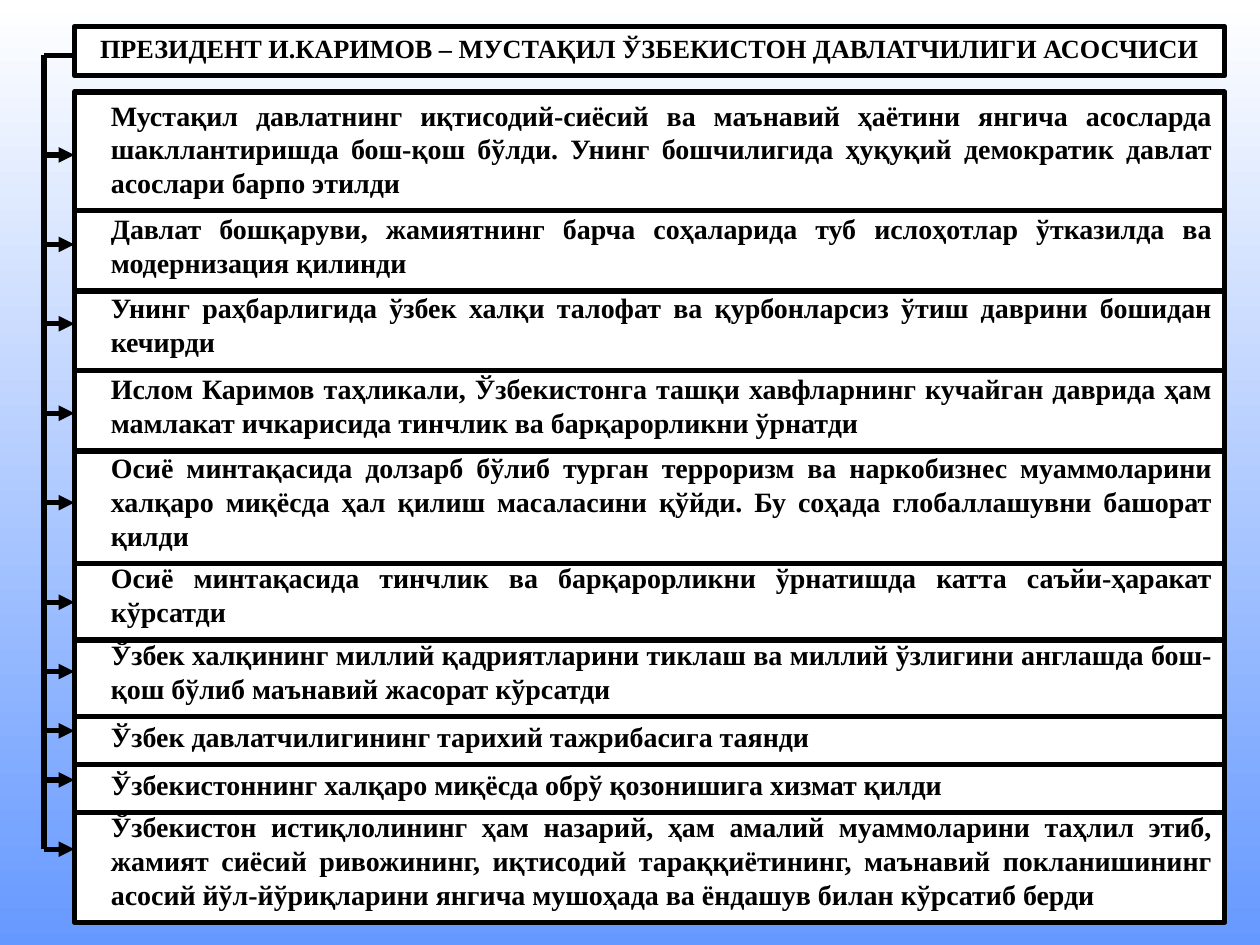
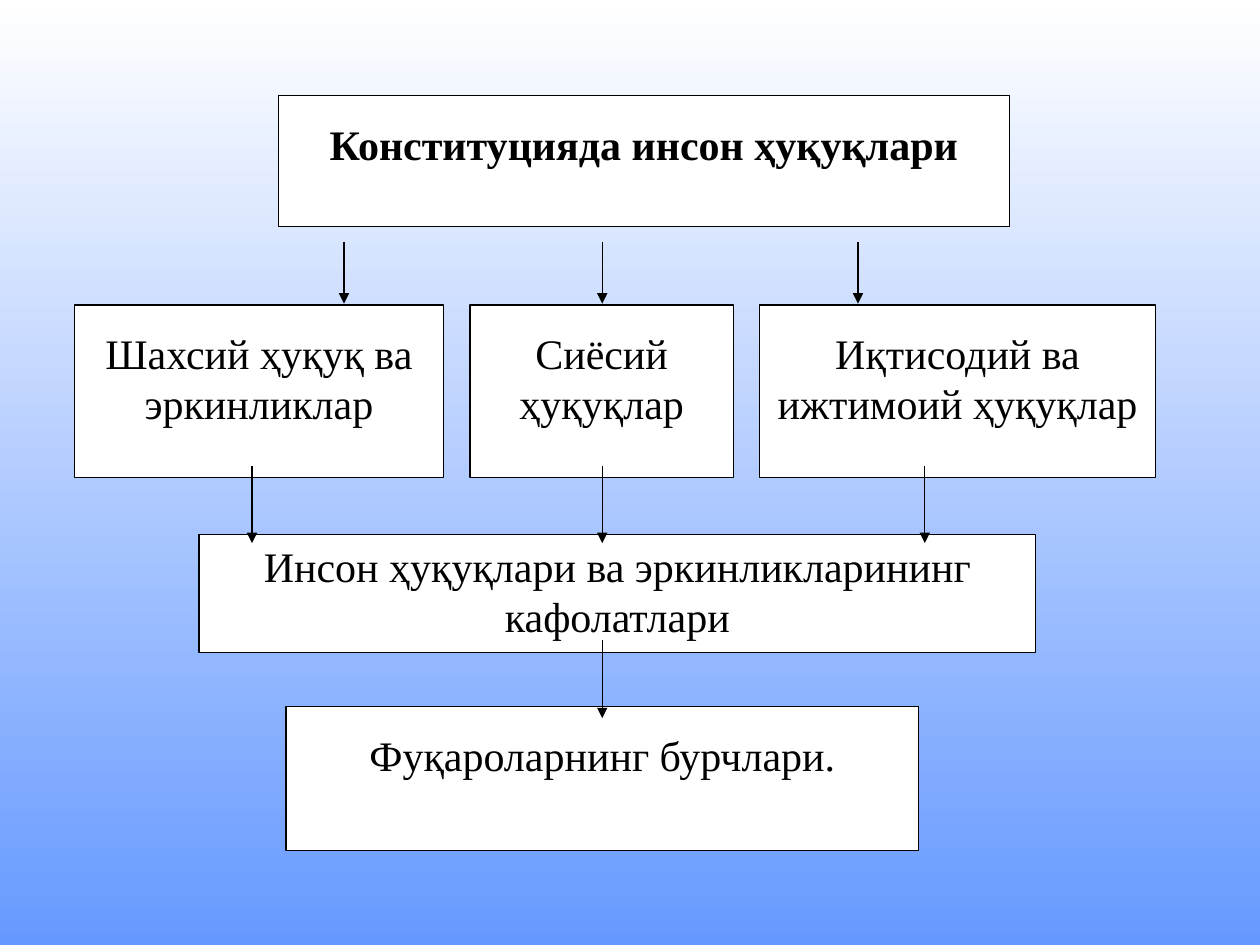
import pptx
import pptx.util
import pptx.dml.color
import pptx.enum.shapes
import pptx.enum.text
import pptx.oxml
import pptx.oxml.ns

Inches, Pt = pptx.util.Inches, pptx.util.Pt
RGBColor = pptx.dml.color.RGBColor
Align = pptx.enum.text.PP_ALIGN

BLACK = RGBColor(0x00, 0x00, 0x00)
WHITE = RGBColor(0xFF, 0xFF, 0xFF)
SKY = RGBColor(0x66, 0x99, 0xFF)
FONT = "Times New Roman"
THICK, THIN = 3, 0.75

MERITS_LEFT, MERITS_WIDTH = 0.59, 9.13
TRUNK_X, TRUNK_TOP = 0.35, 0.44
HEIGHT_BY_LINES = {1: 0.41, 2: 0.68, 3: 0.94}

# top, lines of text, height of the arrow on the page, text
MERITS = [
    (0.73, 3, 1.23, "Мустақил давлатнинг иқтисодий-сиёсий ва маънавий ҳаётини янгича асосларда "
     "шакллантиришда бош-қош бўлди. Унинг бошчилигида ҳуқуқий демократик давлат асослари барпо этилди"),
    (1.63, 2, 1.94, "Давлат бошқаруви, жамиятнинг барча соҳаларида туб ислоҳотлар ўтказилда ва "
     "модернизация қилинди"),
    (2.26, 2, 2.57, "Унинг раҳбарлигида ўзбек халқи талофат ва қурбонларсиз ўтиш даврини бошидан кечирди"),
    (2.90, 2, 3.28, "Ислом Каримов таҳликали, Ўзбекистонга ташқи хавфларнинг кучайган даврида ҳам "
     "мамлакат ичкарисида тинчлик ва барқарорликни ўрнатди"),
    (3.53, 3, 3.99, "Осиё минтақасида долзарб бўлиб турган терроризм ва наркобизнес муаммоларини "
     "халқаро миқёсда ҳал қилиш масаласини қўйди. Бу соҳада глобаллашувни башорат қилди"),
    (4.40, 2, 4.78, "Осиё минтақасида тинчлик ва барқарорликни ўрнатишда катта саъйи-ҳаракат кўрсатди"),
    (5.01, 2, 5.33, "Ўзбек халқининг миллий қадриятларини тиклаш ва миллий ўзлигини англашда "
     "бош-қош бўлиб маънавий жасорат кўрсатди"),
    (5.66, 1, 5.80, "Ўзбек давлатчилигининг тарихий тажрибасига таянди"),
    (6.04, 1, 6.19, "Ўзбекистоннинг халқаро миқёсда обрў қозонишига хизмат қилди"),
    (6.38, 3, 6.74, "Ўзбекистон истиқлолининг ҳам назарий, ҳам амалий муаммоларини таҳлил этиб, "
     "жамият сиёсий ривожининг, иқтисодий тараққиётининг, маънавий покланишининг асосий "
     "йўл-йўриқларини янгича мушоҳада ва ёндашув билан кўрсатиб берди"),
]

# left, top, width, height, top margin, text
RIGHTS = [
    (0.59, 2.42, 2.93, 1.37, 0.18, "Шахсий ҳуқуқ ва эркинликлар"),
    (3.73, 2.42, 2.09, 1.37, 0.18, "Сиёсий ҳуқуқлар"),
    (6.03, 2.42, 3.14, 1.37, 0.18, "Иқтисодий ва ижтимоий ҳуқуқлар"),
    (1.58, 4.24, 6.64, 0.94, 0.05, "Инсон ҳуқуқлари ва эркинликларининг кафолатлари"),
    (2.27, 5.61, 5.02, 1.14, 0.18, "Фуқароларнинг бурчлари."),
]

# top, bottom, columns of the downward arrows
DOWN_ARROWS = [
    (1.92, 2.41, (2.73, 4.78, 6.81)),
    (3.70, 4.31, (2.00, 4.78, 7.34)),
    (5.08, 5.70, (4.78,)),
]


def paint_background(master):
    fill = master.background.fill
    fill.gradient()
    fill.gradient_angle = 270
    for stop, color in zip(fill.gradient_stops, (WHITE, SKY)):
        stop.color.rgb = color


def format_box(box, text, line_width, size, bold=False, align=Align.CENTER,
               margin_left=0.1, margin_top=0.05):
    """Make a title or a rectangle a white, black-edged box with text from the top."""
    box.fill.solid()
    box.fill.fore_color.rgb = WHITE
    box.line.color.rgb = BLACK
    box.line.width = Pt(line_width)
    frame = box.text_frame
    frame.text = text
    frame.word_wrap = True
    frame.auto_size = pptx.enum.text.MSO_AUTO_SIZE.NONE
    frame.vertical_anchor = pptx.enum.text.MSO_ANCHOR.TOP
    frame.margin_left, frame.margin_right = Inches(margin_left), Inches(0.1)
    frame.margin_top, frame.margin_bottom = Inches(margin_top), Inches(0.05)
    paragraph = frame.paragraphs[0]
    paragraph.alignment = align
    font = paragraph.font
    font.name, font.size, font.bold = FONT, Pt(size), bold
    font.color.rgb = BLACK


def add_box(slide, left, top, width, height, text, **style):
    box = slide.shapes.add_shape(
        pptx.enum.shapes.MSO_SHAPE.RECTANGLE,
        Inches(left), Inches(top), Inches(width), Inches(height))
    box.shadow.inherit = False
    format_box(box, text, **style)


def set_title(slide, left, top, width, height, text, **style):
    title = slide.shapes.title
    title.left, title.top = Inches(left), Inches(top)
    title.width, title.height = Inches(width), Inches(height)
    format_box(title, text, bold=True, **style)


def add_line(slide, x1, y1, x2, y2, width, arrow=True):
    line = slide.shapes.add_connector(
        pptx.enum.shapes.MSO_CONNECTOR.STRAIGHT,
        Inches(x1), Inches(y1), Inches(x2), Inches(y2))
    line.line.color.rgb = BLACK
    line.line.width = Pt(width)
    properties = line._element.spPr
    if arrow:
        head = pptx.oxml.parse_xml(
            f'<a:tailEnd {pptx.oxml.ns.nsdecls("a")} type="triangle"/>')
        properties.find(pptx.oxml.ns.qn("a:ln")).append(head)
    properties.append(pptx.oxml.parse_xml(
        f'<a:effectLst {pptx.oxml.ns.nsdecls("a")}/>'))


def build_merits_slide(slide):
    set_title(slide, MERITS_LEFT, 0.21, MERITS_WIDTH, 0.39,
              "ПРЕЗИДЕНТ И.КАРИМОВ – МУСТАҚИЛ ЎЗБЕКИСТОН ДАВЛАТЧИЛИГИ АСОСЧИСИ",
              line_width=THICK, size=15)
    # Each box overlaps the one below it, so the lowest is drawn first.
    for top, lines, _, text in reversed(MERITS):
        add_box(slide, MERITS_LEFT, top, MERITS_WIDTH, HEIGHT_BY_LINES[lines], text,
                line_width=THICK, size=16, bold=True, align=Align.JUSTIFY, margin_left=0.29)
    trunk_bottom = MERITS[-1][2]
    add_line(slide, TRUNK_X, TRUNK_TOP, MERITS_LEFT, TRUNK_TOP, THICK, arrow=False)
    add_line(slide, TRUNK_X, trunk_bottom, TRUNK_X, TRUNK_TOP, THICK, arrow=False)
    for _, _, arrow_y, _ in MERITS:
        add_line(slide, TRUNK_X, arrow_y, MERITS_LEFT, arrow_y, THICK)


def build_rights_slide(slide):
    set_title(slide, 2.21, 0.76, 5.8, 1.04, "Конституцияда инсон ҳуқуқлари",
              line_width=THIN, size=24, margin_top=0.18)
    for left, top, width, height, margin_top, text in RIGHTS:
        add_box(slide, left, top, width, height, text,
                line_width=THIN, size=24, margin_top=margin_top)
    for top, bottom, columns in DOWN_ARROWS:
        for x in columns:
            add_line(slide, x, top, x, bottom, THIN)


def main():
    prs = pptx.Presentation()
    prs.slide_width, prs.slide_height = Inches(10), Inches(7.5)
    paint_background(prs.slide_master)
    title_only = prs.slide_layouts[5]
    for build in (build_merits_slide, build_rights_slide):
        build(prs.slides.add_slide(title_only))
    prs.save("out.pptx")


if __name__ == "__main__":
    main()
